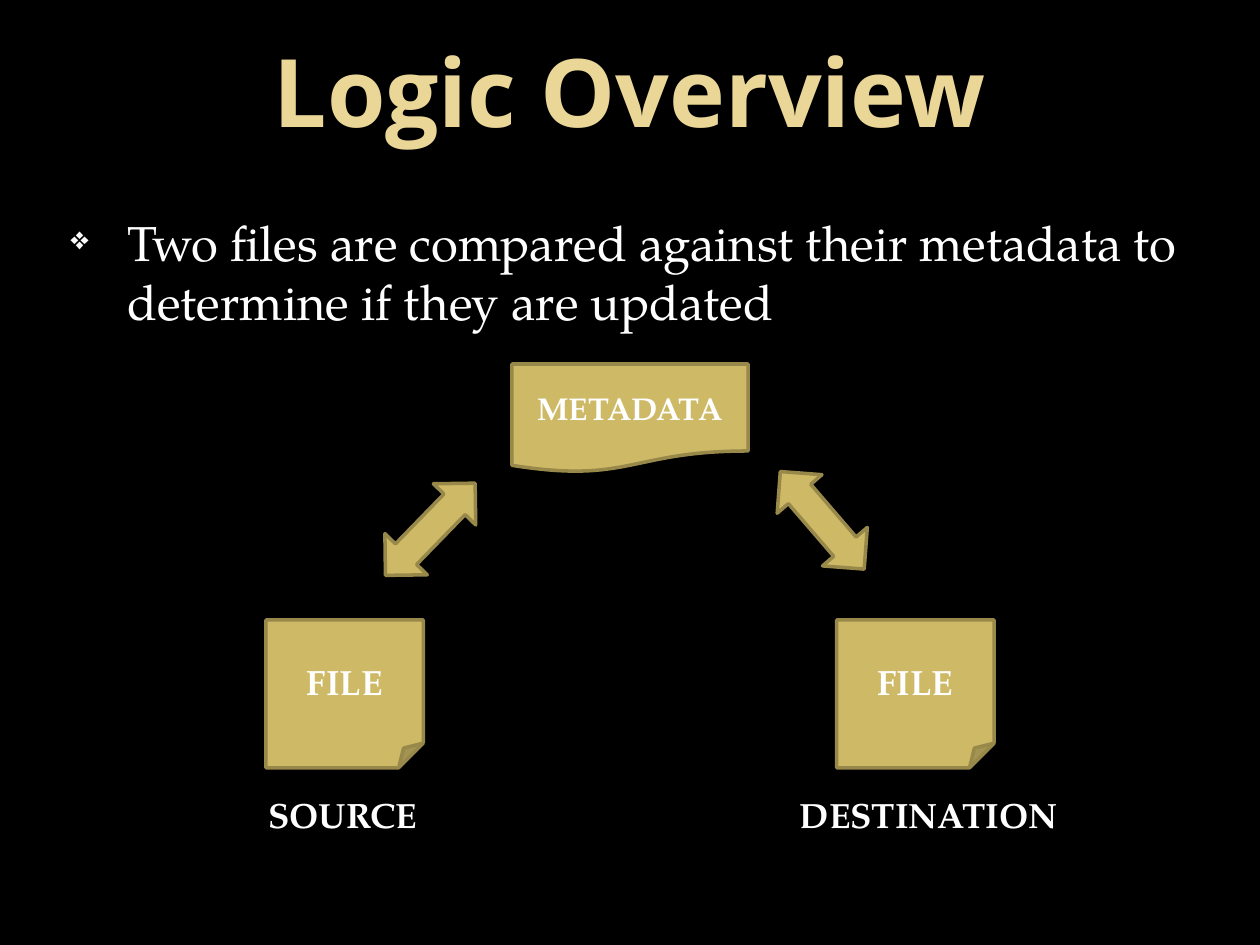
"""Build the Logic Overview slide: two files compared through their metadata."""
from lxml.etree import SubElement
from pptx import Presentation
from pptx.dml.color import RGBColor
from pptx.enum.shapes import MSO_SHAPE as Preset
from pptx.enum.text import MSO_ANCHOR as Anchor, PP_ALIGN as Align
from pptx.oxml.ns import qn
from pptx.util import Pt

BLACK = RGBColor(0x00, 0x00, 0x00)
WHITE = RGBColor(0xFF, 0xFF, 0xFF)
CREAM = RGBColor(0xEA, 0xD6, 0x96)
GOLD = RGBColor(0xCE, 0xB9, 0x66)
BRONZE = RGBColor(0x98, 0x89, 0x4B)
BULLET_GREY = RGBColor(0xF9, 0xF9, 0xF9)


class LogicSlide:
    heading_font = "Open Sans"
    body_font = "TeX Gyre Pagella"

    def __init__(self, deck):
        self.slide = deck.slides.add_slide(deck.slide_layouts[6])
        background = self.slide.background.fill
        background.solid()
        background.fore_color.rgb = BLACK

    def set_words(self, holder, words, size, bold=True, color=WHITE, font=body_font, align=Align.LEFT):
        frame = holder.text_frame
        frame.word_wrap = True
        frame.text = words
        paragraph = frame.paragraphs[0]
        paragraph.alignment = align
        style = paragraph.runs[0].font
        style.name, style.size, style.bold = font, Pt(size), bold
        style.color.rgb = color
        return paragraph

    def text_box(self, left, top, width, height):
        return self.slide.shapes.add_textbox(Pt(left), Pt(top), Pt(width), Pt(height))

    def title(self, words, *box):
        heading = self.text_box(*box)
        heading.text_frame.vertical_anchor = Anchor.MIDDLE
        self.set_words(heading, words, 54, color=CREAM, font=self.heading_font, align=Align.CENTER)

    def bullet(self, words, *box):
        statement = self.set_words(self.text_box(*box), words, 28, bold=False)
        statement.space_before = Pt(5.6)
        props = statement._p.get_or_add_pPr()
        props.set("marL", str(Pt(43.2)))
        props.set("indent", str(Pt(-32.4)))
        tint = SubElement(props, qn("a:buClr"))
        SubElement(tint, qn("a:srgbClr"), val=str(BULLET_GREY))
        SubElement(props, qn("a:buSzPct"), val="65000")
        SubElement(props, qn("a:buChar"), char="❖")

    def label(self, words, *box):
        self.set_words(self.text_box(*box), words, 20)

    def gold_shape(self, preset, left, top, width, height):
        body = self.slide.shapes.add_shape(preset, Pt(left), Pt(top), Pt(width), Pt(height))
        body.shadow.inherit = False
        body.fill.solid()
        body.fill.fore_color.rgb = GOLD
        body.line.color.rgb = BRONZE
        body.line.width = Pt(2)
        return body

    def document(self, preset, words, size, *box):
        page = self.gold_shape(preset, *box)
        page.text_frame.vertical_anchor = Anchor.MIDDLE
        self.set_words(page, words, size, align=Align.CENTER)

    def arrow(self, left, top, angle):
        self.gold_shape(Preset.UP_DOWN_ARROW, left, top, 33.75, 73.5).rotation = angle


def main():
    deck = Presentation()
    deck.slide_width, deck.slide_height = Pt(720), Pt(540)
    page = LogicSlide(deck)
    page.bullet("Two files are compared against their metadata to determine if they are updated",
                22.5, 118, 675, 405)
    page.title("Logic Overview", 36, 6, 648, 90)
    page.document(Preset.FLOWCHART_DOCUMENT, "METADATA", 18, 292.5, 208, 135, 62)
    for file_left, arrow_left, arrow_top, angle, role, role_left, role_width in (
        (151.9, 229, 265.7, 44.2, "SOURCE", 146.25, 112.5),
        (478.1, 453, 260.6, 319.3, "DESTINATION", 450, 168.75),
    ):
        page.document(Preset.FOLDED_CORNER, "FILE", 20, file_left, 354.25, 90, 84.5)
        page.arrow(arrow_left, arrow_top, angle)
        page.label(role, role_left, 450, role_width, 31.5)
    deck.save("out.pptx")


if __name__ == "__main__":
    main()
